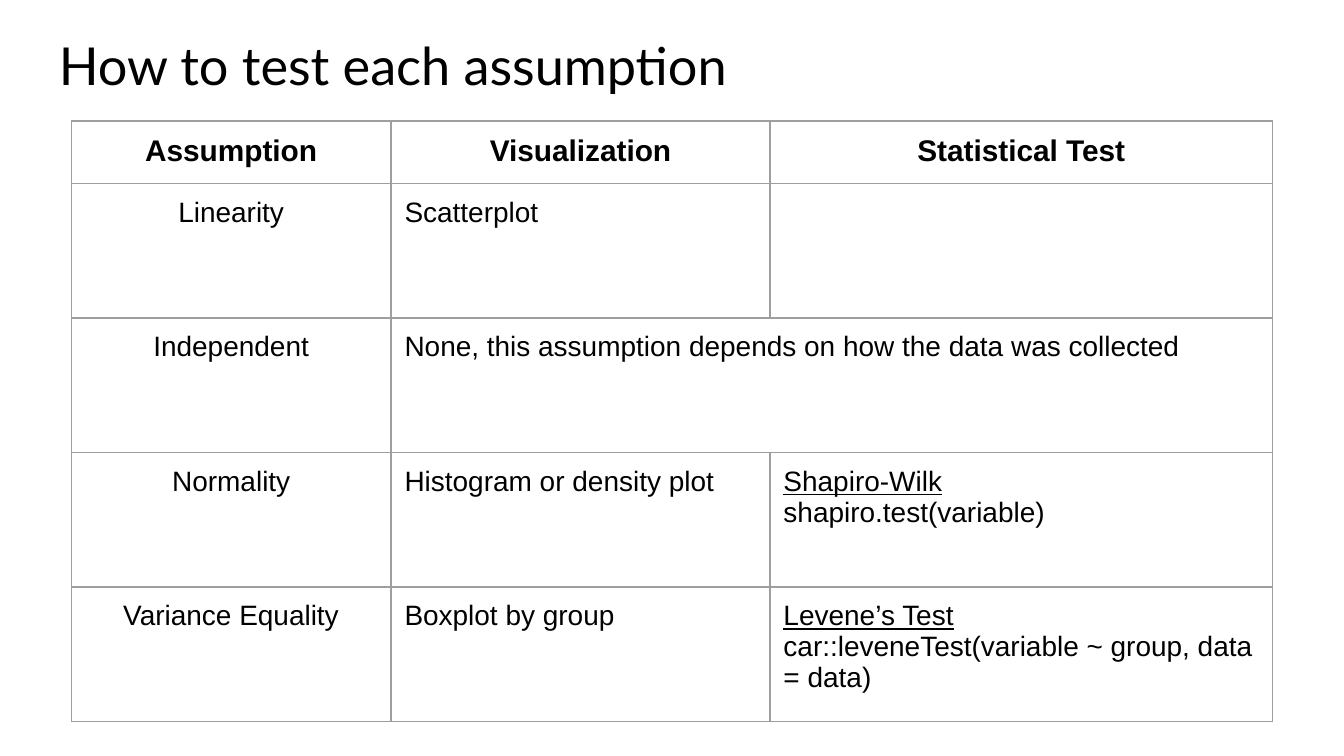
from lxml import etree
from pptx import Presentation
from pptx.dml.color import RGBColor
from pptx.enum.text import MSO_ANCHOR, PP_ALIGN
from pptx.oxml.ns import qn
from pptx.util import Pt

TOP = MSO_ANCHOR.TOP
LEFT, CENTER = PP_ALIGN.LEFT, PP_ALIGN.CENTER
BLACK = RGBColor(0x00, 0x00, 0x00)
GRAY = RGBColor(0x9E, 0x9E, 0x9E)

TITLE = "How to test each assumption"
HEADERS = ["Assumption", "Visualization", "Statistical Test"]
ROWS = [
    ("Linearity", "Scatterplot", []),
    ("Independent", "None, this assumption depends on how the data was collected", None),
    ("Normality", "Histogram or density plot", ["Shapiro-Wilk", "shapiro.test(variable)"]),
    ("Variance Equality", "Boxplot by group",
     ["Levene’s Test", "car::leveneTest(variable ~ group, data = data)"]),
]

EMU_PER_PX = 4572
SLIDE_SIZE = (2000, 1125)
TITLE_BOX = (68, 30, 1864, 126)
TABLE_FRAME = (106, 180, 656, 656)
COLUMN_WIDTHS = [476, 564, 748]
HEADER_HEIGHT, ROW_HEIGHT = 88, 200
INSET = 20
BORDER_WIDTH = Pt(0.75)


def px(value):
    return value * EMU_PER_PX


def set_insets(target):
    target.margin_left = target.margin_right = px(INSET)
    target.margin_top = target.margin_bottom = px(INSET)


def write(frame, lines, font="Arial", size=15, bold=False, align=LEFT, underline_first=False):
    for index, line in enumerate(lines):
        para = frame.paragraphs[0] if index == 0 else frame.add_paragraph()
        para.alignment = align
        span = para.add_run()
        span.text = line
        span.font.name = font
        span.font.size = Pt(size)
        span.font.bold = bold
        span.font.underline = underline_first and index == 0
        span.font.color.rgb = BLACK


def style_cell(cell):
    set_insets(cell)
    cell.vertical_anchor = TOP
    cell.fill.background()
    properties = cell._tc.get_or_add_tcPr()
    for index, side in enumerate(("a:lnL", "a:lnR", "a:lnT", "a:lnB")):
        line = etree.Element(qn(side), w=str(BORDER_WIDTH))
        fill = etree.SubElement(line, qn("a:solidFill"))
        etree.SubElement(fill, qn("a:srgbClr"), val=str(GRAY))
        properties.insert(index, line)


def add_title(page):
    box = page.shapes.add_textbox(*map(px, TITLE_BOX))
    frame = box.text_frame
    frame.word_wrap = True
    frame.vertical_anchor = TOP
    set_insets(frame)
    write(frame, [TITLE], font="Lato", size=28)


def add_assumption_table(page):
    heights = [HEADER_HEIGHT] + [ROW_HEIGHT] * len(ROWS)
    holder = page.shapes.add_table(len(heights), len(COLUMN_WIDTHS), *map(px, TABLE_FRAME))
    table = holder.table
    table.first_row = table.horz_banding = False
    for column, width in zip(table.columns, COLUMN_WIDTHS):
        column.width = px(width)
    for row, height in zip(table.rows, heights):
        row.height = px(height)
        for cell in row.cells:
            style_cell(cell)
    holder.width, holder.height = map(px, TABLE_FRAME[2:])
    for index, header in enumerate(HEADERS):
        write(table.cell(0, index).text_frame, [header], size=16, bold=True, align=CENTER)
    for index, (assumption, visualization, test) in enumerate(ROWS, start=1):
        name_cell, plot_cell, test_cell = table.rows[index].cells
        write(name_cell.text_frame, [assumption], align=CENTER)
        write(plot_cell.text_frame, [visualization])
        if test is None:
            plot_cell.merge(test_cell)
        else:
            write(test_cell.text_frame, test, underline_first=True)


def main():
    deck = Presentation()
    deck.slide_width, deck.slide_height = map(px, SLIDE_SIZE)
    page = deck.slides.add_slide(deck.slide_layouts[6])
    add_title(page)
    add_assumption_table(page)
    deck.save("out.pptx")


if __name__ == "__main__":
    main()
